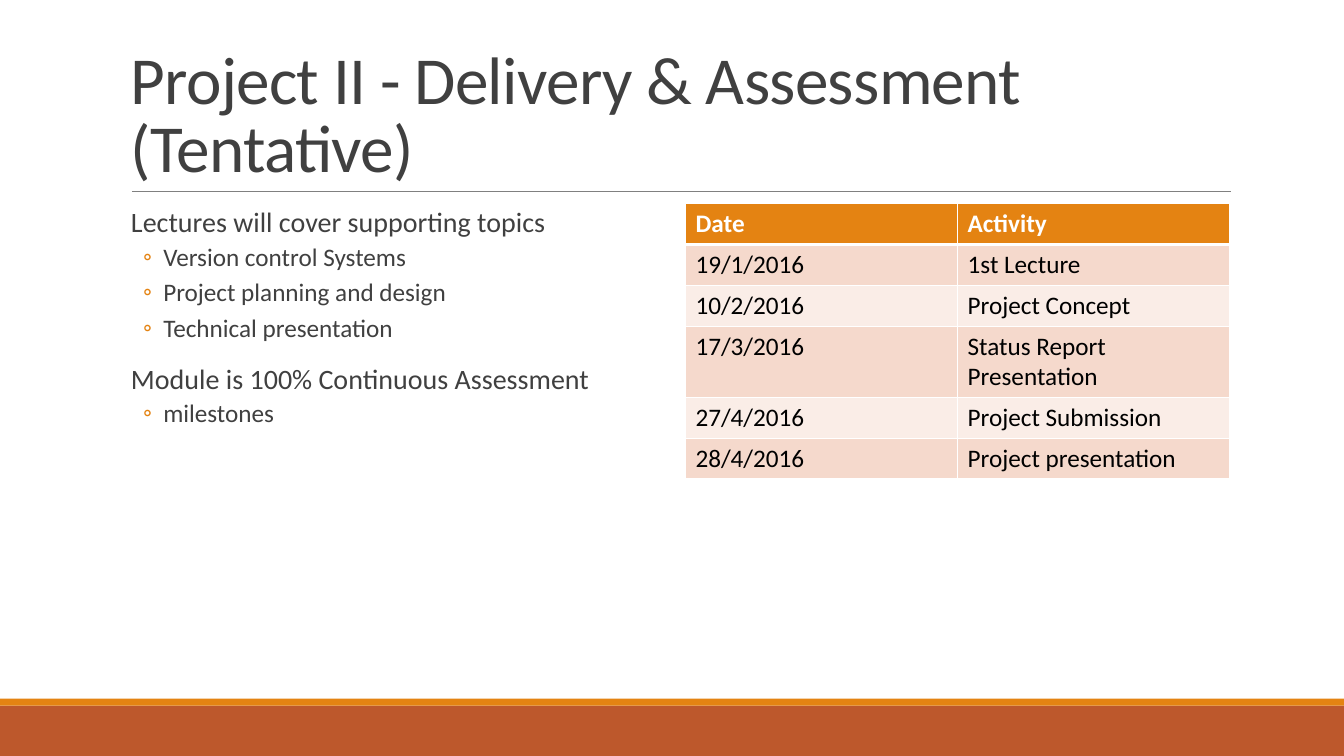
from lxml.etree import SubElement
from pptx import Presentation
from pptx.dml.color import RGBColor
from pptx.enum.shapes import MSO_CONNECTOR, MSO_SHAPE
from pptx.enum.text import MSO_ANCHOR
from pptx.oxml.ns import qn
from pptx.util import Pt

WIDTH, HEIGHT = 960, 540
ORANGE, RUST, GREY, WHITE = "E48312", "BD582C", "404040", "FFFFFF"
BANDS = ("F5D9CC", "FAEDE7")

TITLE = "Project II - Delivery & Assessment (Tentative)"
TOPICS = [
    ("Lectures will cover supporting topics",
     ["Version control Systems", "Project planning and design", "Technical presentation"]),
    ("Module is 100% Continuous Assessment", ["milestones"]),
]
SCHEDULE = [
    ("Date", "Activity"),
    ("19/1/2016", "1st Lecture"),
    ("10/2/2016", "Project Concept"),
    ("17/3/2016", "Status Report Presentation"),
    ("27/4/2016", "Project Submission"),
    ("28/4/2016", "Project presentation"),
]
ROW_HEIGHTS = [29.2, 29.2, 29.2, 50.8, 29.2, 29.2]

HEADING = {"line_spacing": 0.9, "space_before": Pt(12), "space_after": Pt(2)}
BULLET = {"line_spacing": 0.9, "space_before": Pt(2), "space_after": Pt(4)}


def color(value):
    return RGBColor.from_string(value)


def set_attrs(target, values):
    for name, value in values.items():
        setattr(target, name, value)


def add_run(p, text, size, fill, bold=False):
    r = p.add_run()
    r.text = text
    set_attrs(r.font, {"name": "Calibri", "size": Pt(size), "bold": bold})
    r.font.color.rgb = color(fill)
    return r


def add_text_box(slide, box, values):
    tf = slide.shapes.add_textbox(*map(Pt, box)).text_frame
    set_attrs(tf, {"word_wrap": True, **values})
    return tf


def add_footer(slide, box):
    left, top, width, height = box
    stripe = 5
    bands = [(top + stripe, height - stripe, RUST), (top, stripe, ORANGE)]
    for y, h, fill in bands:
        sp = slide.shapes.add_shape(MSO_SHAPE.RECTANGLE, Pt(left), Pt(y), Pt(width), Pt(h))
        sp.shadow.inherit = False
        sp.fill.solid()
        sp.fill.fore_color.rgb = color(fill)
        sp.line.fill.background()


def add_title(slide, box):
    left, top, width, height = box
    tf = add_text_box(slide, box, {"vertical_anchor": MSO_ANCHOR.BOTTOM})
    p = tf.paragraphs[0]
    p.line_spacing = 0.85
    r = add_run(p, TITLE, 48, GREY)
    r.font._element.set("spc", "-50")
    y = top + height
    rule = slide.shapes.add_connector(
        MSO_CONNECTOR.STRAIGHT, Pt(left + 7.8), Pt(y), Pt(left + width + 0.7), Pt(y))
    rule.line.width = Pt(0.5)
    rule.line.color.rgb = color("808080")
    SubElement(rule._element.spPr, qn("a:effectLst"))


def set_bullet(p, margin, indent, char=None):
    pPr = p._p.get_or_add_pPr()
    pPr.set("marL", str(Pt(margin)))
    pPr.set("indent", str(Pt(indent)))
    if char:
        clr = SubElement(pPr, qn("a:buClr"))
        SubElement(clr, qn("a:srgbClr"), val=ORANGE)
        SubElement(pPr, qn("a:buFont"), typeface="Calibri")
        SubElement(pPr, qn("a:buChar"), char=char)
    else:
        SubElement(pPr, qn("a:buNone"))


def add_topics(slide, box):
    tf = add_text_box(slide, box, {"margin_left": 0, "margin_right": 0})
    p = tf.paragraphs[0]
    for i, (heading, items) in enumerate(TOPICS):
        if i:
            p = tf.add_paragraph()
        set_attrs(p, HEADING)
        set_bullet(p, 7.2, 0)
        add_run(p, heading, 20, GREY)
        for item in items:
            p = tf.add_paragraph()
            set_attrs(p, {"level": 1, **BULLET})
            set_bullet(p, 30.24, -14.4, "◦")
            add_run(p, item, 18, GREY)


def set_borders(cell, widths):
    tcPr = cell._tc.get_or_add_tcPr()
    for side, width in widths.items():
        ln = SubElement(tcPr, qn(f"a:ln{side}"), w=str(Pt(width)))
        fill = SubElement(ln, qn("a:solidFill"))
        SubElement(fill, qn("a:srgbClr"), val=WHITE)


def add_schedule(slide, box):
    left, top, width, height = box
    rows, cols = len(SCHEDULE), len(SCHEDULE[0])
    table = slide.shapes.add_table(rows, cols, *map(Pt, box)).table
    for col in table.columns:
        col.width = Pt(width / cols)
    for i, (row, row_height) in enumerate(zip(SCHEDULE, ROW_HEIGHTS)):
        table.rows[i].height = Pt(row_height)
        header = i == 0
        for j, text in enumerate(row):
            cell = table.cell(i, j)
            set_borders(cell, {"L": 1, "R": 1, "T": 3 if i == 1 else 1, "B": 3 if header else 1})
            cell.fill.solid()
            cell.fill.fore_color.rgb = color(ORANGE if header else BANDS[(i - 1) % 2])
            add_run(cell.text_frame.paragraphs[0], text, 18,
                    WHITE if header else "000000", header)


def main():
    prs = Presentation()
    set_attrs(prs, {"slide_width": Pt(WIDTH), "slide_height": Pt(HEIGHT)})
    slide = prs.slides.add_slide(prs.slide_layouts[6])
    add_footer(slide, (0, 499, WIDTH, 41))
    add_title(slide, (86.4, 22.6, 792, 114.2))
    add_topics(slide, (86.4, 145.4, 388.8, 316.8))
    add_schedule(slide, (489.6, 145.4, 388.8, sum(ROW_HEIGHTS)))
    prs.save("out.pptx")


if __name__ == "__main__":
    main()
